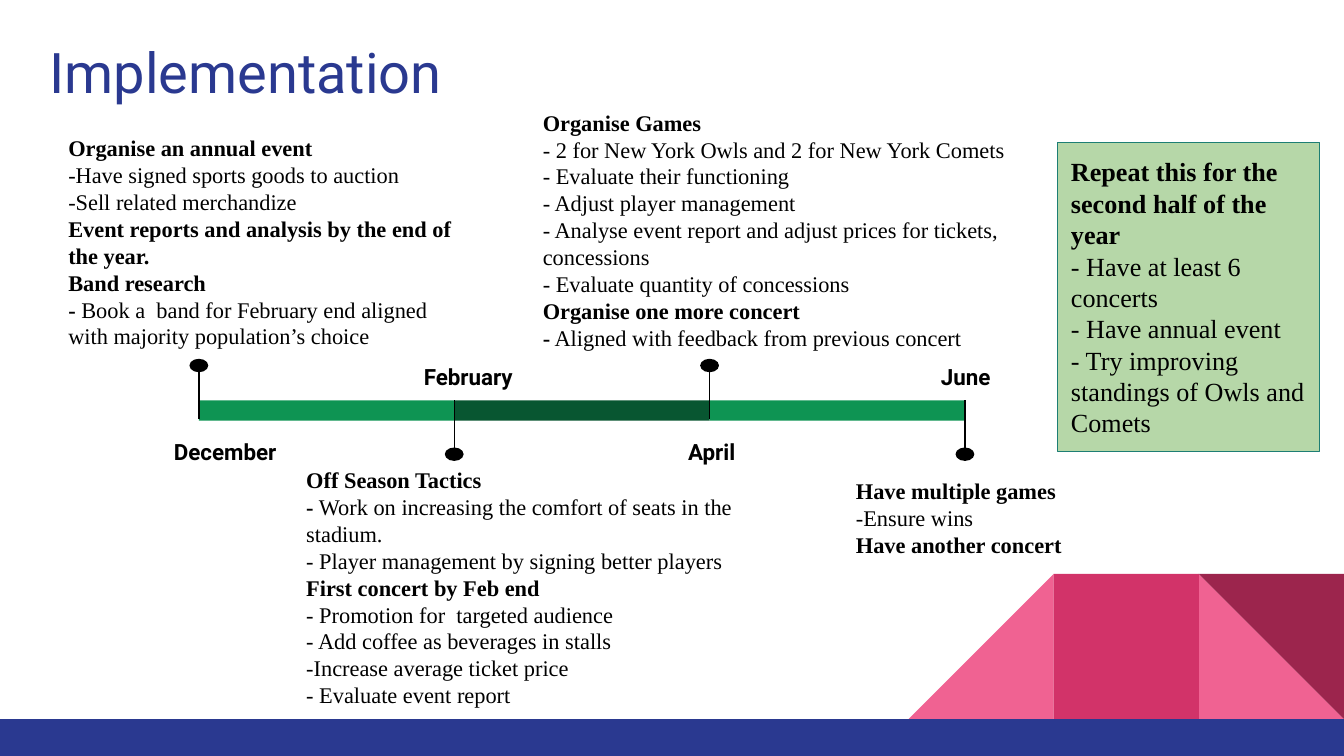
from lxml.etree import SubElement
from pptx import Presentation
from pptx.dml.color import RGBColor
from pptx.enum.shapes import MSO_CONNECTOR as Line, MSO_SHAPE as Shape
from pptx.enum.text import MSO_ANCHOR as Anchor, MSO_AUTO_SIZE as Fit, PP_ALIGN as Align
from pptx.oxml.ns import qn
from pptx.util import Inches, Pt

BLACK = RGBColor(0x00, 0x00, 0x00)
BLUE = RGBColor(0x2A, 0x39, 0x90)
PINK = RGBColor(0xF0, 0x62, 0x92)
ROSE = RGBColor(0xD2, 0x33, 0x69)
WINE = RGBColor(0x9C, 0x25, 0x4D)
GREEN = RGBColor(0x0E, 0x94, 0x53)
DARK = RGBColor(0x08, 0x56, 0x31)
PALE = RGBColor(0xB6, 0xD7, 0xA8)
TEAL = RGBColor(0x1D, 0x7E, 0x74)

SANS = "Roboto"
SERIF = "Times New Roman"

WIDTH = 10
HEIGHT = WIDTH * 9 / 16
START = 1.48  # first milestone, then one every STEP
STEP = 1.9
BAR_TOP = 2.98
DOT_W, DOT_H = 0.14, 0.1

# Month, label box (left, width), note box, paragraphs of lines;
# asterisks enclose bold words
STAGES = [
    ("December", (1, 1.35), (0.41, 0.9, 3.07, 1.61), [[
        "*Organise an annual event*",
        "-Have signed sports goods to auction",
        "-Sell related merchandize",
        "*Event reports and analysis by the end of the year.*",
        "*Band research*",
        "*- *Book a  band for February end aligned with majority population’s choice",
    ]]),
    ("February", (2.85, 1.27), (2.18, 3.37, 3.48, 2), [[
        "*Off Season Tactics*",
        "*-* Work on increasing the comfort of seats in the stadium.",
    ], [
        "- Player management by signing better players",
        "*First concert by Feb end*",
        "- Promotion for  targeted audience",
        "- Add coffee as beverages in stalls",
        "-Increase average ticket price",
        "- Evaluate event report",
    ]]),
    ("April", (4.79, 1.01), (3.94, 0.71, 3.69, 1.61), [[
        "*Organise Games*",
        "- 2 for New York Owls and 2 for New York Comets",
        "- Evaluate their functioning",
        "- Adjust player management",
        "- Analyse event report and adjust prices for tickets, concessions",
        "- Evaluate quantity of concessions",
        "*Organise one more concert*",
        "*-* Aligned with feedback from previous concert",
    ]]),
    ("June", (6.64, 1.09), (6.27, 3.45, 2.46, 1.03), [[
        "*Have multiple games*",
        "-Ensure wins",
        "*Have another concert*",
    ]]),
]

REPEAT = [[
    "*Repeat this for the second half of the year*",
    "- Have at least 6 concerts",
    "- Have annual event",
    "- Try improving standings of Owls and Comets",
]]


def box(*sides):
    return [Inches(side) for side in sides]


def add_block(slide, kind, at, fill, turn=0):
    block = slide.shapes.add_shape(kind, *box(*at))
    block.shadow.inherit = False
    block.fill.solid()
    block.fill.fore_color.rgb = fill
    block.line.fill.background()
    block.rotation = turn
    return block


def set_frame(frame, anchor=Anchor.TOP):
    frame.word_wrap = True
    frame.auto_size = Fit.NONE
    frame.vertical_anchor = anchor
    frame.margin_left = frame.margin_right = Inches(0.1)
    frame.margin_top = frame.margin_bottom = Inches(0.1)


def set_font(para, name, size, color=BLACK):
    para.font.name = name
    para.font.size = Pt(size)
    para.font.color.rgb = color


def write(frame, groups, size):
    """Write one paragraph a group, with the words between asterisks in bold."""
    for i, lines in enumerate(groups):
        para = frame.paragraphs[0] if i == 0 else frame.add_paragraph()
        para.alignment = Align.LEFT
        set_font(para, SERIF, size)
        for j, line in enumerate(lines):
            if j:
                para.add_line_break()
            for k, part in enumerate(line.split("*")):
                if part:
                    run = para.add_run()
                    run.text = part
                    run.font.bold = k % 2 == 1


def add_title(slide, text):
    title = slide.shapes.title
    title.left, title.top, title.width, title.height = box(0.27, 0.18, 9.32, 0.66)
    set_frame(title.text_frame)
    title.text_frame.text = text
    para = title.text_frame.paragraphs[0]
    para.alignment = Align.LEFT
    set_font(para, SANS, 30, BLUE)


def add_decor(slide):
    side, top = 1.08, 4.27
    left, mid, right = (WIDTH - n * side for n in (3, 2, 1))
    for kind, x, fill, turn in (
        (Shape.RIGHT_TRIANGLE, right, PINK, 0),
        (Shape.RIGHT_TRIANGLE, left, PINK, 270),
        (Shape.RECTANGLE, mid, ROSE, 0),
        (Shape.RIGHT_TRIANGLE, right, WINE, 180),
    ):
        add_block(slide, kind, (x, top, side, side), fill, turn)
    foot = top + side
    add_block(slide, Shape.RECTANGLE, (0, foot, WIDTH, HEIGHT - foot), BLUE)


def add_label(slide, text, at):
    frame = slide.shapes.add_textbox(*box(*at)).text_frame
    set_frame(frame)
    frame.text = text
    para = frame.paragraphs[0]
    para.alignment = Align.CENTER
    para.line_spacing = 1.15
    para.space_after = Pt(16)
    set_font(para, SANS, 12)
    para.font.bold = True


def add_note(slide, groups, at):
    frame = slide.shapes.add_textbox(*box(*at)).text_frame
    set_frame(frame)
    write(frame, groups, 12)
    frame.paragraphs[-1].space_after = Pt(16)


def add_pin(slide, x, up):
    dot, end = (2.72, 3.12) if up else (3.38, BAR_TOP)
    stem = slide.shapes.add_connector(Line.STRAIGHT, *box(x, dot, x, end))
    stem.line.color.rgb = BLACK
    stem.line.width = Pt(0.75)
    SubElement(stem._element.spPr, qn("a:effectLst"))
    at = (x - DOT_W / 2, dot - DOT_H / 2, DOT_W, DOT_H)
    add_block(slide, Shape.OVAL, at, BLACK)


def add_timeline(slide):
    for i, fill in enumerate((GREEN, DARK, GREEN)):
        at = (START + i * STEP, BAR_TOP, STEP, 0.15)
        add_block(slide, Shape.RECTANGLE, at, fill)
    for i, (month, (left, width), at, groups) in enumerate(STAGES):
        up = i % 2 == 0
        add_pin(slide, START + i * STEP, up)
        add_label(slide, month, (left, 3.13 if up else 2.57, width, 0.41))
        add_note(slide, groups, at)


def add_panel(slide):
    panel = add_block(slide, Shape.RECTANGLE, (7.87, 1.06, 1.95, 2.3), PALE)
    panel.line.color.rgb = TEAL
    panel.line.width = Pt(0.75)
    set_frame(panel.text_frame, Anchor.MIDDLE)
    write(panel.text_frame, REPEAT, 14)


def main():
    deck = Presentation()
    deck.slide_width, deck.slide_height = box(WIDTH, HEIGHT)
    slide = deck.slides.add_slide(deck.slide_layouts.get_by_name("Title Only"))
    add_decor(slide)
    add_title(slide, "Implementation")
    add_timeline(slide)
    add_panel(slide)
    deck.save("out.pptx")


if __name__ == "__main__":
    main()
